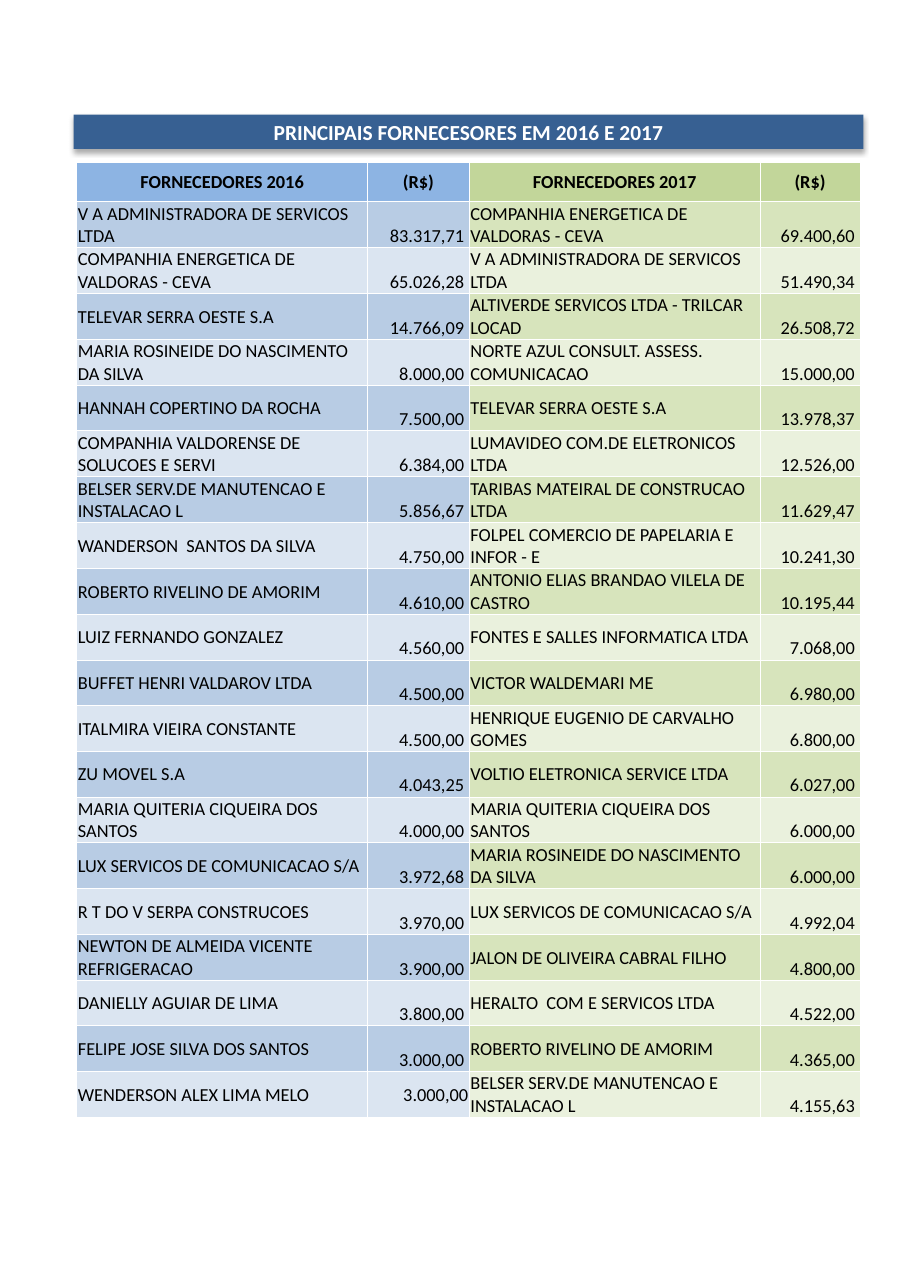
from pptx import Presentation
from pptx.dml.color import RGBColor
from pptx.enum.shapes import MSO_SHAPE
from pptx.enum.text import MSO_ANCHOR, PP_ALIGN
from pptx.oxml import parse_xml
from pptx.oxml.ns import nsdecls
from pptx.util import Pt

# Content: name and value for 2016, then for 2017
TITLE = "PRINCIPAIS FORNECESORES EM 2016 E 2017"
HEADS = ("FORNECEDORES 2016", "(R$)", "FORNECEDORES 2017", "(R$)")
ROWS = [
    ("V A ADMINISTRADORA DE SERVICOS LTDA", "83.317,71",
     "COMPANHIA ENERGETICA DE VALDORAS - CEVA", "69.400,60"),
    ("COMPANHIA ENERGETICA DE VALDORAS - CEVA", "65.026,28",
     "V A ADMINISTRADORA DE SERVICOS LTDA", "51.490,34"),
    ("TELEVAR SERRA OESTE S.A", "14.766,09",
     "ALTIVERDE SERVICOS LTDA - TRILCAR LOCAD", "26.508,72"),
    ("MARIA ROSINEIDE DO NASCIMENTO DA SILVA", "8.000,00",
     "NORTE AZUL CONSULT. ASSESS. COMUNICACAO", "15.000,00"),
    ("HANNAH COPERTINO DA ROCHA", "7.500,00",
     "TELEVAR SERRA OESTE S.A", "13.978,37"),
    ("COMPANHIA VALDORENSE DE SOLUCOES E SERVI", "6.384,00",
     "LUMAVIDEO COM.DE ELETRONICOS LTDA", "12.526,00"),
    ("BELSER SERV.DE MANUTENCAO E INSTALACAO L", "5.856,67",
     "TARIBAS MATEIRAL DE CONSTRUCAO LTDA", "11.629,47"),
    ("WANDERSON  SANTOS DA SILVA", "4.750,00",
     "FOLPEL COMERCIO DE PAPELARIA E INFOR - E", "10.241,30"),
    ("ROBERTO RIVELINO DE AMORIM", "4.610,00",
     "ANTONIO ELIAS BRANDAO VILELA DE CASTRO", "10.195,44"),
    ("LUIZ FERNANDO GONZALEZ", "4.560,00",
     "FONTES E SALLES INFORMATICA LTDA", "7.068,00"),
    ("BUFFET HENRI VALDAROV LTDA", "4.500,00",
     "VICTOR WALDEMARI ME", "6.980,00"),
    ("ITALMIRA VIEIRA CONSTANTE", "4.500,00",
     "HENRIQUE EUGENIO DE CARVALHO GOMES", "6.800,00"),
    ("ZU MOVEL S.A", "4.043,25",
     "VOLTIO ELETRONICA SERVICE LTDA", "6.027,00"),
    ("MARIA QUITERIA CIQUEIRA DOS SANTOS", "4.000,00",
     "MARIA QUITERIA CIQUEIRA DOS SANTOS", "6.000,00"),
    ("LUX SERVICOS DE COMUNICACAO S/A", "3.972,68",
     "MARIA ROSINEIDE DO NASCIMENTO DA SILVA", "6.000,00"),
    ("R T DO V SERPA CONSTRUCOES", "3.970,00",
     "LUX SERVICOS DE COMUNICACAO S/A", "4.992,04"),
    ("NEWTON DE ALMEIDA VICENTE REFRIGERACAO", "3.900,00",
     "JALON DE OLIVEIRA CABRAL FILHO", "4.800,00"),
    ("DANIELLY AGUIAR DE LIMA", "3.800,00",
     "HERALTO  COM E SERVICOS LTDA", "4.522,00"),
    ("FELIPE JOSE SILVA DOS SANTOS", "3.000,00",
     "ROBERTO RIVELINO DE AMORIM", "4.365,00"),
    ("WENDERSON ALEX LIMA MELO", "3.000,00",
     "BELSER SERV.DE MANUTENCAO E INSTALACAO L", "4.155,63"),
]

# Look
FONT = "Calibri"
WHITE = RGBColor(0xFF, 0xFF, 0xFF)
BLACK = RGBColor(0x00, 0x00, 0x00)
NAVY = RGBColor(0x37, 0x60, 0x92)
# One palette a year: header, odd rows, even rows
BLUES = (RGBColor(0x8D, 0xB4, 0xE3), RGBColor(0xB8, 0xCC, 0xE4),
         RGBColor(0xDB, 0xE5, 0xF1))
GREENS = (RGBColor(0xC2, 0xD6, 0x9A), RGBColor(0xD7, 0xE4, 0xBC),
          RGBColor(0xEA, 0xF1, 0xDD))
WIDTHS = (190.1, 66.5, 190.1, 65.3)
HEAD_H, ROW_H = 25.6, 29.8
INSET, GAP = 0.72, 3.4


def write(frame, text, size, color, align, bold):
    par = frame.paragraphs[0]
    par.text = text
    par.alignment = align
    font = par.font
    font.name, font.size, font.bold = FONT, Pt(size), bold
    font.color.rgb = color


def edge(cell):
    props = cell._tc.get_or_add_tcPr()
    for spot, side in enumerate(("lnL", "lnR", "lnT", "lnB")):
        props.insert(spot, parse_xml(
            f'<a:{side} {nsdecls("a")} w="{Pt(0.5)}"><a:solidFill>'
            f'<a:srgbClr val="{WHITE}"/></a:solidFill></a:{side}>'))


deck = Presentation()
deck.slide_width, deck.slide_height = Pt(595.44), Pt(841.68)
slide = deck.slides.add_slide(deck.slide_layouts[6])

# Title bar with a soft shadow below
bar = slide.shapes.add_shape(MSO_SHAPE.RECTANGLE, Pt(48.2), Pt(74.9),
                             Pt(516.2), Pt(22.4))
bar.fill.solid()
bar.fill.fore_color.rgb = NAVY
bar.line.fill.background()
bar.shadow.inherit = False
bar._element.spPr.find("{*}effectLst").append(parse_xml(
    f'<a:outerShdw {nsdecls("a")} blurRad="{Pt(3.5)}" dist="{Pt(2.2)}" '
    'dir="5400000" rotWithShape="0"><a:srgbClr val="000000">'
    '<a:alpha val="32000"/></a:srgbClr></a:outerShdw>'))
bar.text_frame.vertical_anchor = MSO_ANCHOR.MIDDLE
bar.text_frame.margin_top = bar.text_frame.margin_bottom = 0
write(bar.text_frame, TITLE, 14, WHITE, PP_ALIGN.CENTER, True)

# Table grid
grid = [HEADS] + ROWS
last = len(ROWS)
table = slide.shapes.add_table(
    len(grid), len(HEADS), Pt(50.2), Pt(106.1), Pt(sum(WIDTHS)),
    Pt(HEAD_H + last * ROW_H)).table
table.first_row = table.horz_banding = False
for col, width in zip(table.columns, WIDTHS):
    col.width = Pt(width)
for r, row in enumerate(table.rows):
    row.height = Pt(ROW_H if r else HEAD_H)

# Cells: amounts sit low and right, all but the last of 2016
for r, texts in enumerate(grid):
    for c, text in enumerate(texts):
        cell = table.cell(r, c)
        shades = BLUES if c < 2 else GREENS
        cell.fill.solid()
        cell.fill.fore_color.rgb = shades[2 - r % 2 if r else 0]
        edge(cell)
        money = r > 0 and c % 2 == 1
        low = money and (r, c) != (last, 1)
        cell.margin_left = cell.margin_top = Pt(INSET)
        cell.margin_right = Pt(GAP if low else INSET)
        cell.margin_bottom = 0
        cell.vertical_anchor = MSO_ANCHOR.BOTTOM if low else MSO_ANCHOR.MIDDLE
        align = (PP_ALIGN.CENTER if r == 0 else
                 PP_ALIGN.RIGHT if money else PP_ALIGN.LEFT)
        write(cell.text_frame, text, 12, BLACK, align, r == 0)

deck.save("out.pptx")
